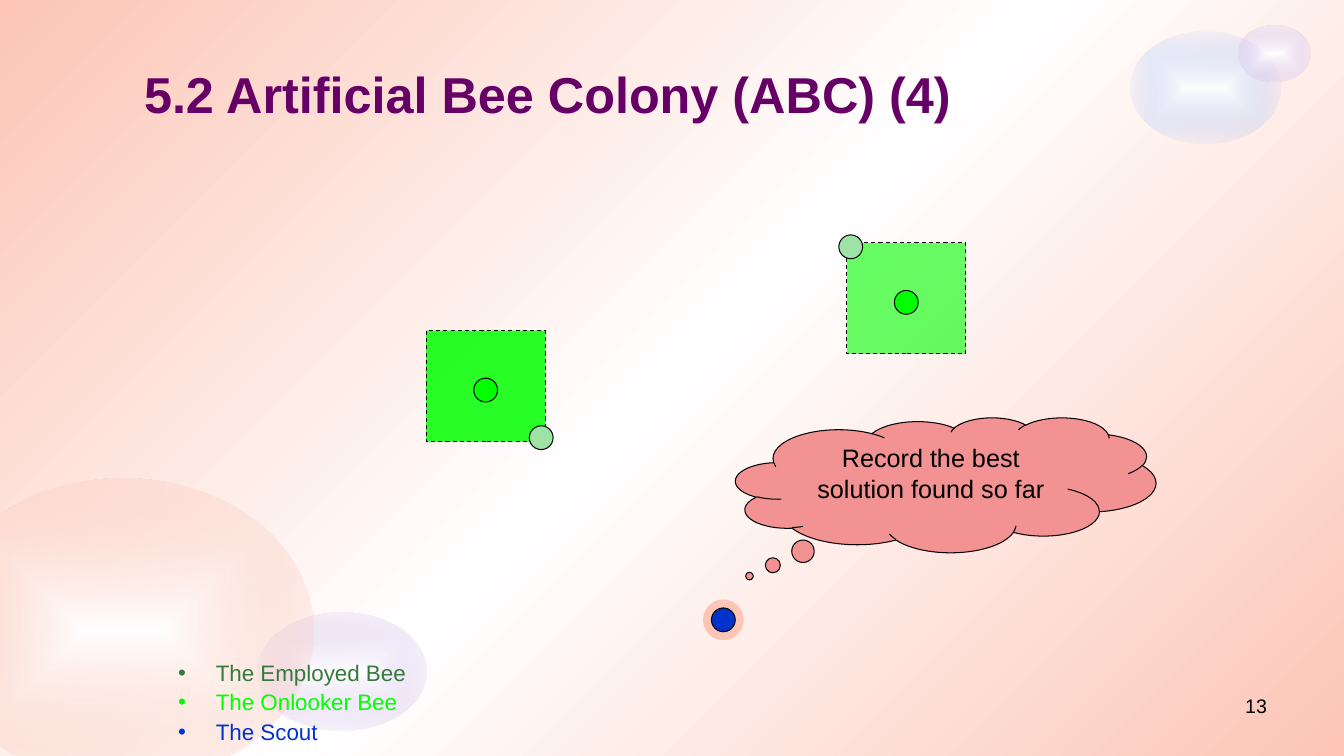
from lxml import etree
from pptx import Presentation
from pptx.dml.color import RGBColor
from pptx.enum.dml import MSO_LINE
from pptx.enum.shapes import MSO_SHAPE
from pptx.enum.text import MSO_ANCHOR, PP_ALIGN
from pptx.oxml.ns import qn
from pptx.util import Cm, Pt

PEACH = RGBColor(0xFC, 0xC5, 0xB6)
LILAC = RGBColor(0xD1, 0xBC, 0xEE)
SKY = RGBColor(0xA8, 0xC1, 0xFA)
WHITE = RGBColor(0xFF, 0xFF, 0xFF)
BLACK = RGBColor(0, 0, 0)
PURPLE = RGBColor(0x66, 0, 0x66)
FOREST = RGBColor(0x35, 0x79, 0x3C)
MINT = RGBColor(0x9D, 0xE3, 0xA5)
GREEN = RGBColor(0, 0xFF, 0)
BLUE = RGBColor(0, 0x33, 0xCC)
ROSE = RGBColor(0xF2, 0x92, 0x92)
FONT = "Arial"
DOT = 0.6


def set_alpha(color_element, percent):
    etree.SubElement(color_element, qn("a:alpha"), val=str(percent * 1000))


def set_stops(gradient, stops):
    """Replace the stops by (position, colour, opacity) in percent."""
    stop_list = gradient.find(qn("a:gsLst"))
    for stop in list(stop_list):
        stop_list.remove(stop)
    for position, color, opacity in stops:
        stop = etree.SubElement(stop_list, qn("a:gs"), pos=str(position * 1000))
        color_element = etree.SubElement(stop, qn("a:srgbClr"), val=str(color))
        if opacity < 100:
            set_alpha(color_element, opacity)


def add_figure(page, kind, box, fill=None, line=BLACK):
    shape = page.shapes.add_shape(kind, *map(Cm, box))
    shape.shadow.inherit = False
    if fill is not None:
        shape.fill.solid()
        shape.fill.fore_color.rgb = fill
    if line is None:
        shape.line.fill.background()
    else:
        shape.line.color.rgb = line
        shape.line.width = Pt(0.75)
    return shape


def add_dot(page, x, y, fill, line=BLACK, size=DOT):
    """Draw a circle centred on x, y."""
    box = (x - size / 2, y - size / 2, size, size)
    add_figure(page, MSO_SHAPE.OVAL, box, fill, line)


def add_span(para, text, size, color, bold=False):
    span = para.add_run()
    span.text = text
    span.font.name = FONT
    span.font.size = Pt(size)
    span.font.color.rgb = color
    span.font.bold = bold


def add_text_frame(page, box, anchor=MSO_ANCHOR.TOP):
    frame = page.shapes.add_textbox(*map(Cm, box)).text_frame
    frame.word_wrap = True
    frame.vertical_anchor = anchor
    return frame


def add_glow(page, box, color, opacity):
    """Draw an ellipse that fades from a white centre."""
    shape = add_figure(page, MSO_SHAPE.OVAL, box, line=None)
    shape.fill.gradient()
    gradient = shape.element.spPr.find(qn("a:gradFill"))
    set_stops(gradient, [(0, WHITE, 100), (100, color, opacity)])
    linear = gradient.find(qn("a:lin"))
    if linear is not None:
        gradient.remove(linear)
    shade = etree.Element(qn("a:path"), path="shape")
    etree.SubElement(shade, qn("a:fillToRect"), l="50000", t="50000", r="50000", b="50000")
    gradient.find(qn("a:gsLst")).addnext(shade)


def add_backdrop(page):
    page.background.fill.gradient()
    gradient = next(page.element.iter(qn("a:gradFill")))
    set_stops(gradient, [(0, PEACH, 100), (50, WHITE, 100), (100, PEACH, 100)])
    linear = gradient.find(qn("a:lin"))
    if linear is None:
        linear = etree.Element(qn("a:lin"))
        gradient.find(qn("a:gsLst")).addnext(linear)
    linear.set("ang", str(45 * 60000))
    add_glow(page, (6.5, 15.44, 4.24, 2.97), LILAC, 20)
    add_glow(page, (-1.7, 12.07, 9.6, 7.62), PEACH, 24)
    add_glow(page, (28.5, 0.79, 3.78, 2.82), SKY, 10)
    add_glow(page, (31.22, 0.64, 1.8, 1.42), LILAC, 20)


def add_title(page, box):
    frame = add_text_frame(page, box, MSO_ANCHOR.MIDDLE)
    add_span(frame.paragraphs[0], "5.2 Artificial Bee Colony (ABC) (4)", 36, PURPLE, True)


def add_page_number(page, box):
    para = add_text_frame(page, box).paragraphs[0]
    para.alignment = PP_ALIGN.RIGHT
    add_span(para, "13", 14, BLACK)


def add_legend(page, box):
    frame = add_text_frame(page, box)
    bees = [("The Employed Bee", FOREST), ("The Onlooker Bee", GREEN), ("The Scout", BLUE)]
    for index, (name, color) in enumerate(bees):
        para = frame.add_paragraph() if index else frame.paragraphs[0]
        para.line_spacing = 0.9
        para.space_before = Pt(3.7 if index else 0)
        properties = para._p.get_or_add_pPr()
        properties.set("marL", str(Cm(0.95)))
        properties.set("indent", str(-Cm(0.95)))
        etree.SubElement(properties, qn("a:buFont"), typeface=FONT)
        etree.SubElement(properties, qn("a:buChar"), char="•")
        add_span(para, name, 16, color)


def add_food_source(page, box, layers, corner):
    """Draw a search area, its onlooker, and an employed bee by a corner (0 or 1 per axis)."""
    left, top, width, height = box
    for _ in range(layers):
        area = add_figure(page, MSO_SHAPE.RECTANGLE, box, GREEN)
        area.line.dash_style = MSO_LINE.DASH
        set_alpha(area.element.spPr.find(qn("a:solidFill"))[0], 60)
    add_dot(page, left + width / 2, top + height / 2 + 0.1, GREEN)
    across, down = corner
    inset = 0.1
    add_dot(page, left + inset + across * (width - 2 * inset),
            top + inset + down * (height - 2 * inset), MINT)


def add_scout(page, x, y):
    add_dot(page, x, y, PEACH, PEACH, size=1)
    add_dot(page, x, y, BLUE)


def add_thought(page, box):
    cloud = add_figure(page, MSO_SHAPE.CLOUD_CALLOUT, box, ROSE)
    cloud.adjustments[0] = -0.467
    cloud.adjustments[1] = 0.676
    frame = cloud.text_frame
    frame.word_wrap = True
    frame.vertical_anchor = MSO_ANCHOR.TOP
    para = frame.paragraphs[0]
    para.alignment = PP_ALIGN.CENTER
    add_span(para, "Record the best solution found so far", 18, BLACK)


def main():
    deck = Presentation()
    deck.slide_width, deck.slide_height = Cm(33.87), Cm(19.05)
    page = deck.slides.add_slide(deck.slide_layouts[6])
    add_backdrop(page)
    add_page_number(page, (25.12, 17.35, 7.06, 1.27))
    add_title(page, (3.38, 0.76, 28.78, 3.18))
    add_legend(page, (4.24, 16.56, 6.35, 2.49))
    add_food_source(page, (21.34, 6.12, 3, 2.8), 1, (0, 0))
    add_food_source(page, (10.74, 8.33, 3, 2.8), 2, (1, 1))
    add_scout(page, 18.23, 15.62)
    add_thought(page, (18.54, 10.52, 10.59, 3.4))
    deck.save("out.pptx")


if __name__ == "__main__":
    main()
